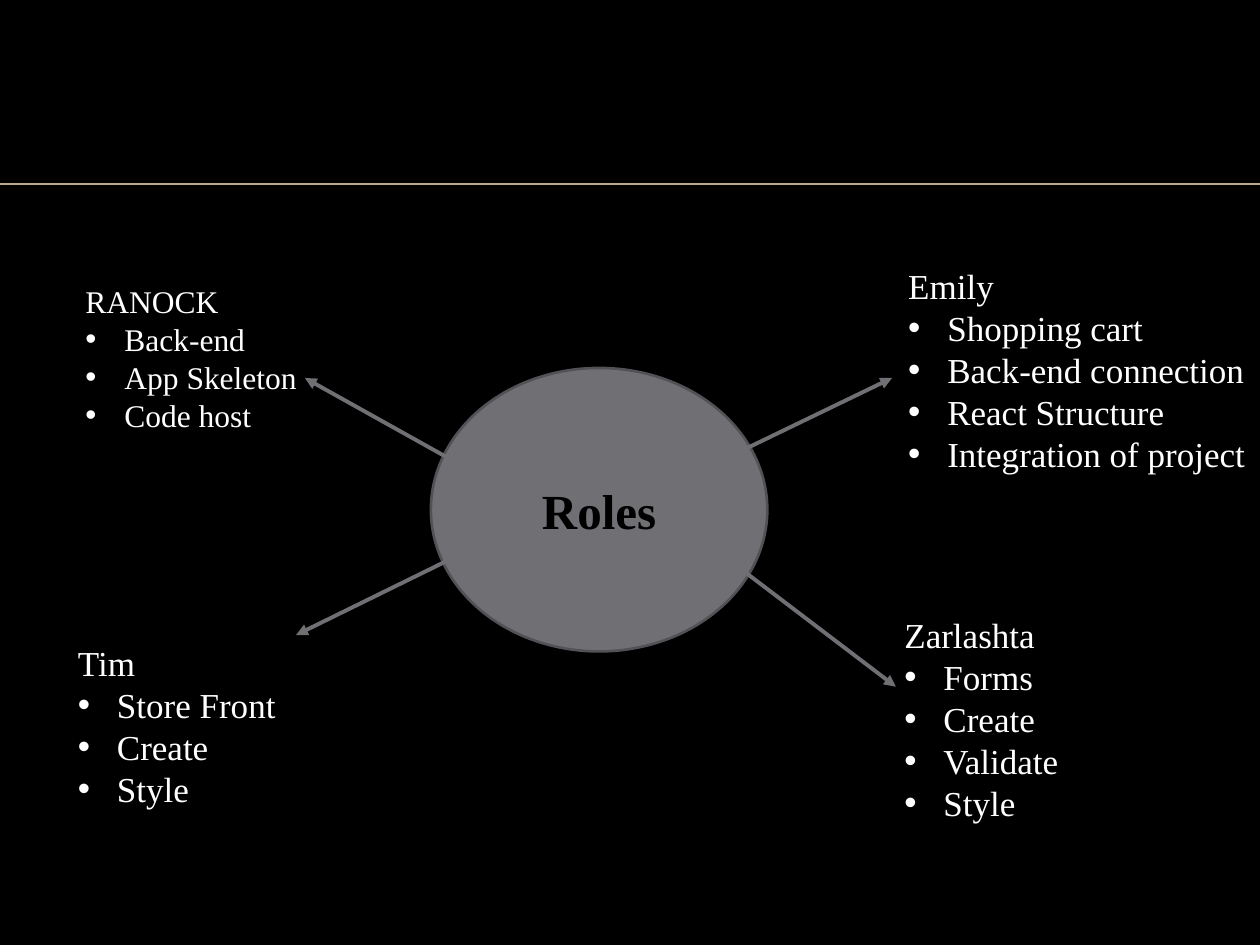
import pptx
import pptx.util
import pptx.dml.color
import pptx.enum.shapes
import pptx.enum.text
import pptx.oxml.ns
import lxml.etree

Inches = pptx.util.Inches
FONT = "Times New Roman"
GRAY = "6F6F74"
INDENT = Inches(0.31)


def color(code):
    return pptx.dml.color.RGBColor.from_string(code)


def sub(node, tag, **attrs):
    return lxml.etree.SubElement(node, pptx.oxml.ns.qn(tag), attrs)


def write(para, text, size=20, fill="FFFFFF", bold=False, align="LEFT", bullet=False):
    para.alignment = getattr(pptx.enum.text.PP_ALIGN, align)
    run = para.add_run()
    run.text = text
    font = run.font
    font.name, font.size, font.bold = FONT, pptx.util.Pt(size), bold
    font.color.rgb = color(fill)
    if bullet:
        props = para._p.get_or_add_pPr()
        props.set("marL", str(INDENT))
        props.set("indent", str(-INDENT))
        sub(props, "a:buFont", typeface="Arial")
        sub(props, "a:buChar", char="•")


def draw_line(slide, start, end, fill, width, arrow=False):
    ends = [Inches(n) for n in (*start, *end)]
    line = slide.shapes.add_connector(pptx.enum.shapes.MSO_CONNECTOR.STRAIGHT, *ends)
    line.line.color.rgb = color(fill)
    line.line.width = pptx.util.Pt(width)
    if arrow:
        sub(line.line._get_or_add_ln(), "a:tailEnd", type="triangle")
    sub(line._element.spPr, "a:effectLst")


def draw_hub(slide, box, text):
    oval = slide.shapes.add_shape(
        pptx.enum.shapes.MSO_SHAPE.OVAL, *[Inches(n) for n in box])
    oval.shadow.inherit = False
    oval.fill.solid()
    oval.fill.fore_color.rgb = color(GRAY)
    oval.line.color.rgb = color("525256")
    oval.line.width = pptx.util.Pt(1.5)
    frame = oval.text_frame
    frame.vertical_anchor = pptx.enum.text.MSO_ANCHOR.MIDDLE
    write(frame.paragraphs[0], text, size=28, fill="000000", bold=True, align="CENTER")


def draw_role(slide, box, name, tasks, size=20):
    frame = slide.shapes.add_textbox(*[Inches(n) for n in box]).text_frame
    frame.word_wrap = True
    frame.auto_size = pptx.enum.text.MSO_AUTO_SIZE.SHAPE_TO_FIT_TEXT
    write(frame.paragraphs[0], name, size=size)
    for task in tasks:
        write(frame.add_paragraph(), task, size=size, bullet=True)


# Each member: text box, name, tasks, text size, arrow start and end
ROLES = [
    ((7.11, 2.05, 3.08, 1.78), "Emily",
     ["Shopping cart", "Back-end connection", "React Structure",
      "Integration of project"], 20, (5.88, 3.58), (7.08, 3)),
    ((0.58, 2.19, 2.33, 1.31), "RANOCK",
     ["Back-end", "App Skeleton", "Code host"], 18, (3.62, 3.67), (2.42, 3)),
    ((7.08, 4.82, 2.5, 1.78), "Zarlashta",
     ["Forms", "Create", "Validate", "Style"], 20, (5.86, 4.5), (7.11, 5.45)),
    ((0.52, 5.04, 2.2, 1.45), "Tim",
     ["Store Front", "Create", "Style"], 20, (3.53, 4.46), (2.35, 5.04)),
]


def main():
    deck = pptx.Presentation()
    deck.slide_width, deck.slide_height = Inches(10), Inches(7.5)
    slide = deck.slides.add_slide(deck.slide_layouts[6])
    slide.background.fill.solid()
    slide.background.fill.fore_color.rgb = color("000000")

    # Rule under the title band
    draw_line(slide, (0, 1.46), (10, 1.46), "BBAA8A", 1)

    # Hub with an arrow to each member
    draw_hub(slide, (3.42, 2.92, 2.67, 2.25), "Roles")
    for box, name, tasks, size, start, end in ROLES:
        draw_line(slide, start, end, GRAY, 2.25, arrow=True)
        draw_role(slide, box, name, tasks, size)

    deck.save("out.pptx")


if __name__ == "__main__":
    main()
